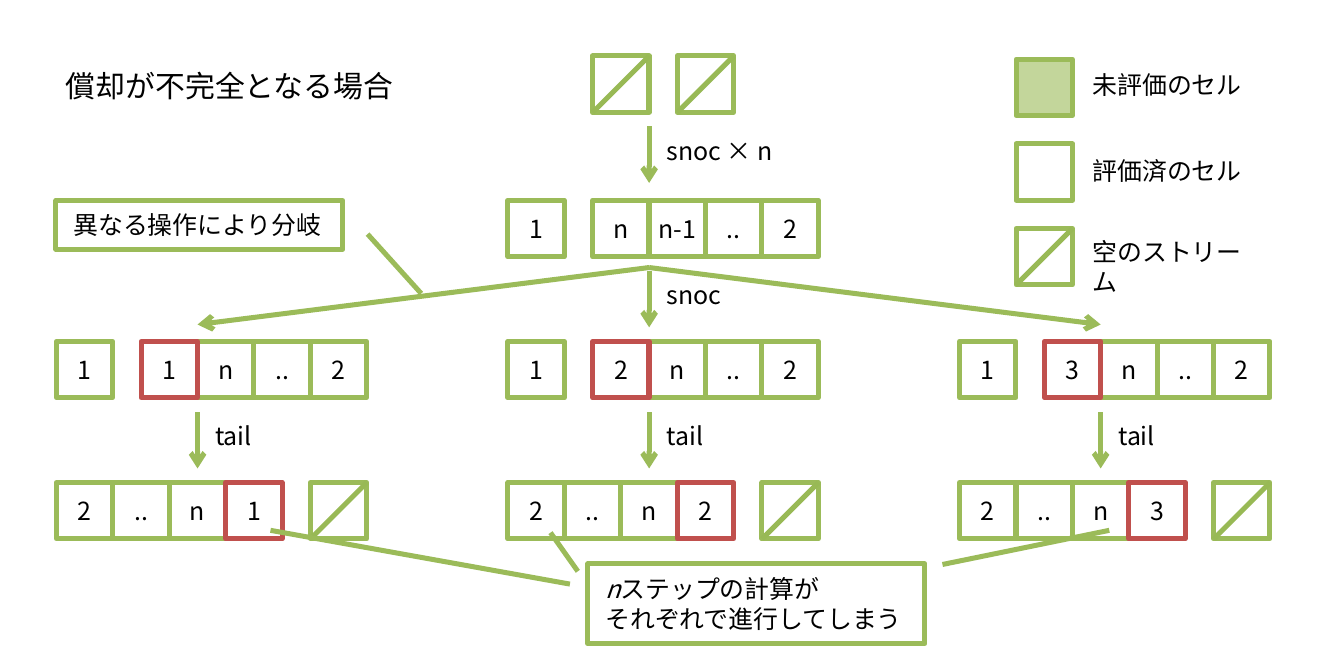
from lxml.etree import SubElement
from pptx import Presentation
from pptx.dml.color import RGBColor
from pptx.enum.shapes import MSO_CONNECTOR as Connector, MSO_SHAPE as Shape
from pptx.enum.text import MSO_ANCHOR as Anchor, PP_ALIGN as Align
from pptx.oxml.ns import qn
from pptx.util import Pt

FONT = "Noto Sans CJK JP"
COLORS = {
    "green": "9BBB59", "diagonal": "98B955", "red": "C0504D",
    "unevaluated": "C3D69B", "white": "FFFFFF", "black": "000000",
}
CELL = 22.68
COLUMNS = [CELL, 9 * CELL, 17 * CELL]
ROWS = [22.5, 80.5, 137.2, 193.9]
MIDDLE = COLUMNS[1]
STEM = 2.5 * CELL
ARROW_GAP = 1.25 * CELL

TITLE = ("償却が不完全となる場合", 19.4, 23.8, 147.6, 21.6)
LEGEND = [("未評価のセル", 24.5), ("評価済のセル", 59), ("空のストリーム", 91.4)]
LEGEND_LEFT, LEGEND_TOP, LEGEND_PITCH = 18 * CELL, 23.8, 1.5 * CELL

START_EMPTY = [1.5, 3]
SNOC_CELLS = [("1", 0), ("n", 1.5), ("n-1", 2.5), ("..", 3.5), ("2", 4.5)]
BRANCH_VALUES = ["1", "2", "3"]
BRANCH_CELLS = [("1", 0), ("n", 2.5), ("..", 3.5), ("2", 4.5)]
BRANCH_NEW = 1.5
TAIL_CELLS = [("2", 0), ("..", 1), ("n", 2)]
TAIL_NEW, TAIL_EMPTY = 3, 4.5

STEPS = [
    ("snoc × n", MIDDLE, 0, 71.3),
    ("snoc", MIDDLE, 1, 41),
    *[("tail", column, 2, 41) for column in COLUMNS],
]
BRANCH_START = (MIDDLE + STEM, 107.5)
BRANCH_END = 130.4
CALLOUTS = [
    (["異なる操作により分岐"], (22.5, 80.6, 115.2, 19.6),
     (0.688, 1.087, 1.907, 1.274)),
    (["nステップの計算が", "それぞれで進行してしまう"], (236.2, 226.6, 135.4, 32),
     (0.093, -0.03, -0.394, -0.111)),
]
POINTERS = [((445.7, 213.1), (378.7, 226.8)), ((108.7, 213.1), (229, 234.7))]


def rgb(name):
    return RGBColor.from_string(COLORS[name])


def style_run(run, size, italic=False):
    run.font.size = Pt(size)
    run.font.name = FONT
    run.font.italic = italic
    run.font.color.rgb = rgb("black")
    SubElement(run.font._element, qn("a:ea")).set("typeface", FONT)


def write(shape, lines, size=10, align=Align.LEFT, anchor=Anchor.TOP):
    frame = shape.text_frame
    frame.word_wrap = False
    frame.vertical_anchor = anchor
    frame.text = "\n".join(lines)
    for paragraph in frame.paragraphs:
        paragraph.alignment = align
        for run in paragraph.runs:
            style_run(run, size)


def add_label(slide, text, left, top, width, height, size=10):
    box = slide.shapes.add_textbox(Pt(left), Pt(top), Pt(width), Pt(height))
    write(box, [text], size)


def add_box(shapes, kind, left, top, width, height, fill="white", line="green"):
    shape = shapes.add_shape(kind, Pt(left), Pt(top), Pt(width), Pt(height))
    shape.shadow.inherit = False
    shape.fill.solid()
    shape.fill.fore_color.rgb = rgb(fill)
    shape.line.color.rgb = rgb(line)
    shape.line.width = Pt(2)
    return shape


def add_cell(shapes, left, top, text="", fill="white", line="green"):
    shape = add_box(shapes, Shape.RECTANGLE, left, top, CELL, CELL, fill, line)
    if text:
        write(shape, [text], align=Align.CENTER, anchor=Anchor.MIDDLE)


def add_line(shapes, start, end, color="green", arrow=False):
    points = [Pt(value) for value in (*start, *end)]
    line = shapes.add_connector(Connector.STRAIGHT, *points)
    line.line.color.rgb = rgb(color)
    line.line.width = Pt(2)
    if arrow:
        SubElement(line.line._get_or_add_ln(), qn("a:tailEnd")).set("type", "arrow")
    SubElement(line._element.spPr, qn("a:effectLst"))


def add_empty_stream(slide, left, top):
    group = slide.shapes.add_group_shape()
    add_cell(group.shapes, left, top)
    add_line(group.shapes, (left, top + CELL), (left + CELL, top), "diagonal")


def add_cells(slide, cells, column, top):
    for text, offset in cells:
        add_cell(slide.shapes, column + offset * CELL, top, text)


def add_legend(slide):
    tops = [LEGEND_TOP + index * LEGEND_PITCH for index in range(len(LEGEND))]
    add_cell(slide.shapes, LEGEND_LEFT, tops[0], fill="unevaluated")
    add_cell(slide.shapes, LEGEND_LEFT, tops[1])
    add_empty_stream(slide, LEGEND_LEFT, tops[2])
    for text, top in LEGEND:
        add_label(slide, text, 432, top, 81.4, 20.9)


def add_queues(slide):
    for offset in START_EMPTY:
        add_empty_stream(slide, MIDDLE + offset * CELL, ROWS[0])
    add_cells(slide, SNOC_CELLS, MIDDLE, ROWS[1])
    for column, value in zip(COLUMNS, BRANCH_VALUES):
        add_cells(slide, BRANCH_CELLS, column, ROWS[2])
        add_cells(slide, TAIL_CELLS, column, ROWS[3])
        add_empty_stream(slide, column + TAIL_EMPTY * CELL, ROWS[3])
        for offset, top in ((BRANCH_NEW, ROWS[2]), (TAIL_NEW, ROWS[3])):
            add_cell(slide.shapes, column + offset * CELL, top, value, line="red")


def add_steps(slide):
    for text, column, row, width in STEPS:
        left, top = column + STEM, ROWS[row] + ARROW_GAP
        add_line(slide.shapes, (left, top), (left, top + CELL), arrow=True)
        add_label(slide, text, left, top, width, 19.4)
    for column in (COLUMNS[0], COLUMNS[2]):
        add_line(slide.shapes, BRANCH_START, (column + STEM, BRANCH_END), arrow=True)


def add_callouts(slide):
    for lines, place, adjustments in CALLOUTS:
        shape = add_box(slide.shapes, Shape.LINE_CALLOUT_1, *place)
        for index, value in enumerate(adjustments):
            shape.adjustments[index] = value
        write(shape, lines, anchor=Anchor.MIDDLE)
        first = shape.text_frame.paragraphs[0]
        if lines[0].startswith("n"):
            first.text = "n"
            style_run(first.runs[0], 10, italic=True)
            rest = first.add_run()
            rest.text = lines[0][1:]
            style_run(rest, 10)
    for start, end in POINTERS:
        add_line(slide.shapes, start, end)


def main():
    presentation = Presentation()
    presentation.slide_width = Pt(540)
    presentation.slide_height = Pt(270)
    slide = presentation.slides.add_slide(presentation.slide_layouts[6])
    add_label(slide, *TITLE, size=12)
    add_legend(slide)
    add_queues(slide)
    add_steps(slide)
    add_callouts(slide)
    presentation.save("out.pptx")


if __name__ == "__main__":
    main()
